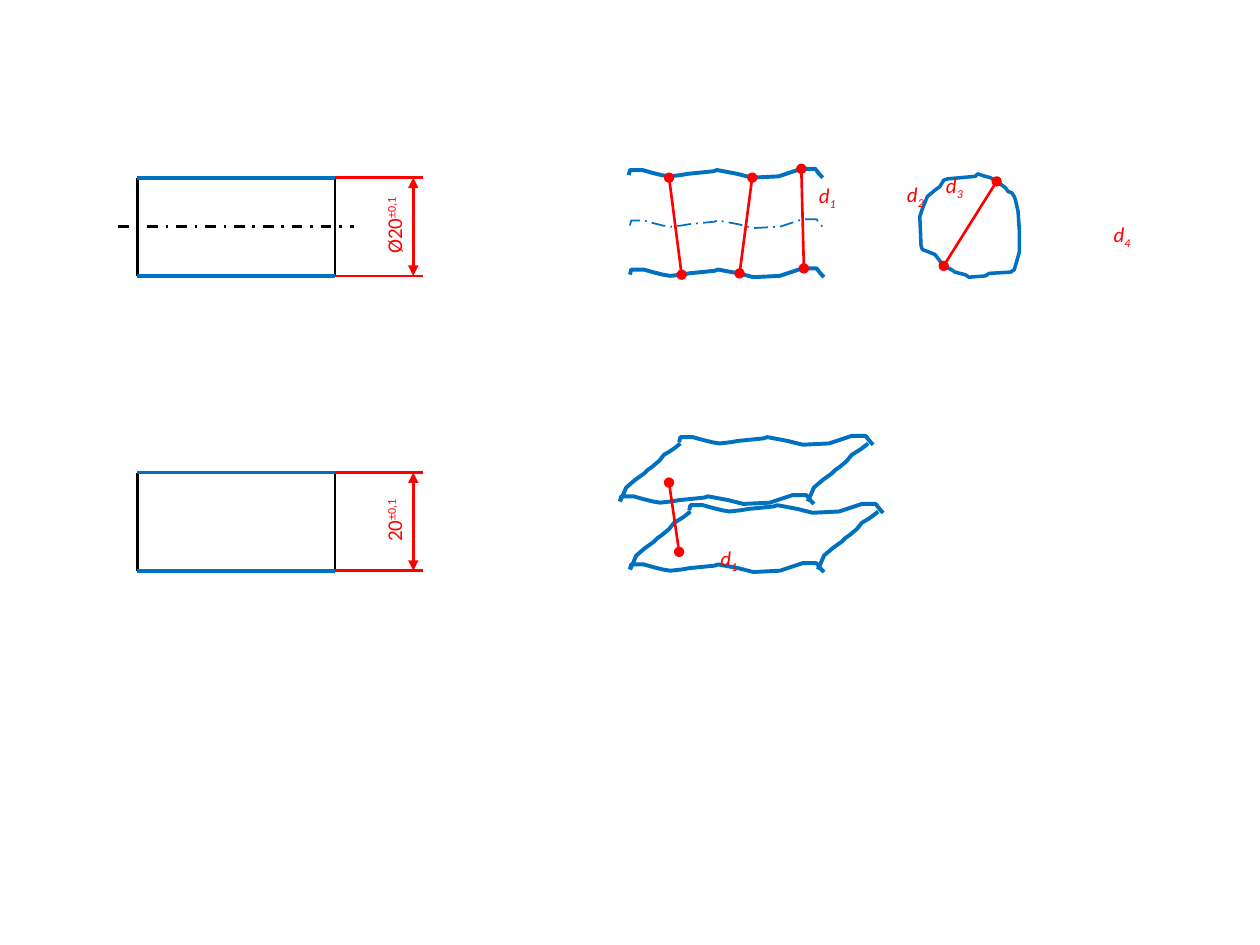
from dataclasses import dataclass

from lxml import etree
from pptx import Presentation
from pptx.dml.color import RGBColor
from pptx.enum.dml import MSO_LINE
from pptx.enum.shapes import MSO_CONNECTOR
from pptx.enum.text import MSO_AUTO_SIZE, PP_ALIGN
from pptx.oxml.ns import qn
from pptx.util import Inches, Pt

STRAIGHT = MSO_CONNECTOR.STRAIGHT
DASH_DOT = MSO_LINE.DASH_DOT
LONG_DASH_DOT = MSO_LINE.LONG_DASH_DOT
FIT_SHAPE = MSO_AUTO_SIZE.SHAPE_TO_FIT_TEXT
CENTER = PP_ALIGN.CENTER

SUBSCRIPT, SUPERSCRIPT = -25000, 30000

WAVE = [
    (0, 0.07), (0.01, 0.03), (0.11, 0.03), (0.18, 0.05), (0.26, 0.07),
    (0.32, 0.08), (0.41, 0.07), (0.47, 0.06), (0.67, 0.04), (0.7, 0.03),
    (0.86, 0.06), (0.9, 0.07), (0.98, 0.09), (1.19, 0.08), (1.25, 0.06),
    (1.34, 0.03), (1.37, 0.02), (1.48, 0.02), (1.52, 0.07), (1.54, 0.09),
]
SLANT = [
    (0, 0.46), (0.02, 0.42), (0.05, 0.35), (0.12, 0.29), (0.19, 0.24),
    (0.22, 0.21), (0.25, 0.19), (0.31, 0.14), (0.35, 0.09), (0.4, 0.06),
    (0.43, 0.04), (0.48, 0),
]
SECTION = [
    (0.44, 0.02), (0.22, 0.04), (0.19, 0.05), (0.16, 0.1), (0.12, 0.13),
    (0.06, 0.18), (0.02, 0.28), (0, 0.34), (0.01, 0.57), (0.02, 0.6),
    (0.12, 0.64), (0.19, 0.73), (0.25, 0.76), (0.28, 0.78), (0.36, 0.8),
    (0.39, 0.82), (0.52, 0.81), (0.55, 0.79), (0.72, 0.78), (0.75, 0.76),
    (0.77, 0.69), (0.79, 0.62), (0.79, 0.45), (0.78, 0.3), (0.76, 0.21),
    (0.75, 0.18), (0.73, 0.15), (0.7, 0.14), (0.68, 0.11), (0.61, 0.06),
    (0.56, 0.03), (0.52, 0.02), (0.46, 0),
]


@dataclass(frozen=True)
class Theme:
    font: str = "Calibri"
    size: float = 12
    edge: RGBColor = RGBColor(0x00, 0x00, 0x00)
    surface: RGBColor = RGBColor(0x00, 0x70, 0xC0)
    measure: RGBColor = RGBColor(0xFF, 0x00, 0x00)
    thin: float = 1
    normal: float = 1.5
    section: float = 2
    thick: float = 2.25


def add_run(paragraph, text, *, theme, italic=None, baseline=None):
    run = paragraph.add_run()
    run.text = text
    run.font.name = theme.font
    run.font.size = Pt(theme.size)
    run.font.italic = italic
    run.font.color.rgb = theme.measure
    if baseline is not None:
        run._r.get_or_add_rPr().set("baseline", str(baseline))


class Drawing:
    def __init__(self, slide, theme):
        self.slide = slide
        self.theme = theme
        self.shapes = slide.shapes

    def start_group(self):
        self.shapes = self.slide.shapes.add_group_shape().shapes

    def line(self, start, end, color, width=None, dash=None, ends=None):
        connector = self.shapes.add_connector(
            STRAIGHT, *(Inches(value) for value in (*start, *end)))
        connector.line.color.rgb = color
        connector.line.width = Pt(width or self.theme.normal)
        if dash is not None:
            connector.line.dash_style = dash
        properties = connector._element.spPr
        if ends:
            outline = properties.find(qn("a:ln"))
            for tag in ("a:headEnd", "a:tailEnd"):
                etree.SubElement(outline, qn(tag), type=ends)
        etree.SubElement(properties, qn("a:effectLst"))

    def profile(self, offsets, left, top, width=None, dash=None, close=False):
        points = [(Inches(left + x), Inches(top + y)) for x, y in offsets]
        builder = self.shapes.build_freeform(*points[0])
        builder.add_line_segments(points[1:], close=close)
        curve = builder.convert_to_shape()
        curve.shadow.inherit = False
        curve.fill.background()
        curve.line.color.rgb = self.theme.surface
        curve.line.width = Pt(width or self.theme.thick)
        if dash is not None:
            curve.line.dash_style = dash

    def label(self, base, script, left, top, width=1.25, rotation=0,
              italic=None, baseline=SUBSCRIPT):
        box = self.shapes.add_textbox(
            Inches(left), Inches(top), Inches(width), Inches(0.3))
        box.rotation = rotation
        frame = box.text_frame
        frame.word_wrap = True
        frame.auto_size = FIT_SHAPE
        paragraph = frame.paragraphs[0]
        paragraph.alignment = CENTER
        add_run(paragraph, base, theme=self.theme, italic=italic)
        add_run(paragraph, script, theme=self.theme, italic=italic,
                baseline=baseline)

    def distance(self, start, end):
        self.line(start, end, self.theme.measure, ends="oval")

    def nominal_part(self, top, dimension):
        theme = self.theme
        left, right, bottom = 1.09, 2.66, top + 0.78
        for x in (left, right):
            self.line((x, bottom), (x, top), theme.edge)
        for y in (top, bottom):
            self.line((left, y), (right, y), theme.surface, theme.thick)
            self.line((right, y), (3.36, y), theme.measure)
        self.line((3.28, bottom), (3.28, top), theme.measure, ends="triangle")
        self.label(dimension, "±0,1", 2.5, top + 0.23, rotation=270,
                   baseline=SUPERSCRIPT)

    def real_plane(self, left, top):
        self.profile(WAVE, left, top + 0.47)
        self.profile(WAVE, left + 0.47, top)
        for x in (left, left + 1.49):
            self.profile(SLANT, x, top + 0.08)


def main():
    presentation = Presentation()
    presentation.slide_width = Inches(10)
    presentation.slide_height = Inches(7.5)
    theme = Theme()
    slide = presentation.slides.add_slide(presentation.slide_layouts[6])
    drawing = Drawing(slide, theme)

    drawing.nominal_part(1.41, "Ø20")
    drawing.line((0.94, 1.8), (2.81, 1.8), theme.edge, dash=DASH_DOT)
    drawing.nominal_part(3.75, "20")

    drawing.profile(WAVE, 4.99, 1.32)
    drawing.profile(WAVE, 5, 2.11)
    drawing.profile(WAVE, 5, 1.72, theme.thin, LONG_DASH_DOT)
    drawing.profile(SECTION, 7.3, 1.38, theme.section, close=True)
    for start, end in (
        ((5.41, 2.18), (5.31, 1.41)),
        ((5.87, 2.17), (5.97, 1.41)),
        ((6.38, 2.13), (6.36, 1.34)),
        ((7.49, 2.11), (7.91, 1.44)),
    ):
        drawing.distance(start, end)
    for index, left, top in (
        ("1", 5.94, 1.4), ("2", 6.64, 1.39), ("3", 6.95, 1.32), ("4", 8.28, 1.71),
    ):
        drawing.label("d", index, left, top, italic=True)

    drawing.start_group()
    drawing.real_plane(4.92, 3.44)
    drawing.real_plane(5, 3.98)
    drawing.distance((5.39, 4.38), (5.31, 3.83))
    drawing.label("d", "1", 5.47, 4.28, width=0.63, italic=True)

    presentation.save("out.pptx")


if __name__ == "__main__":
    main()
